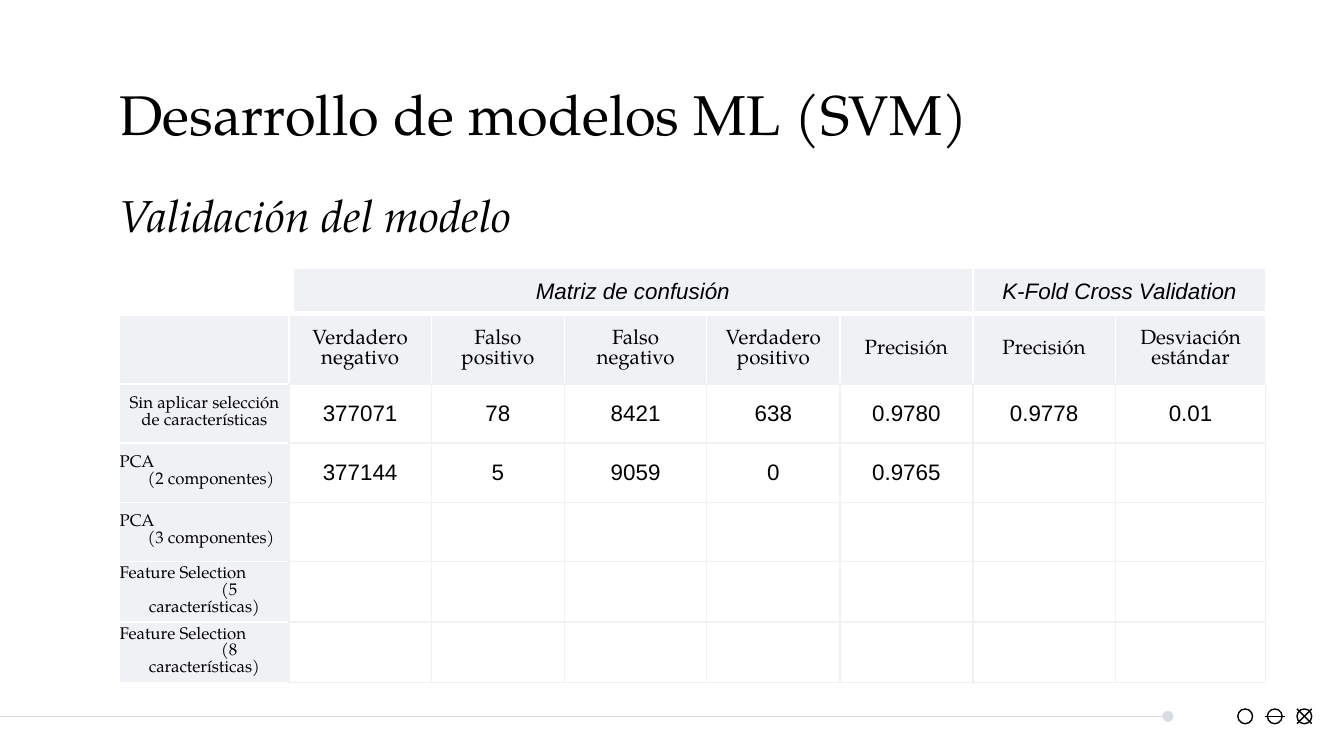
from pptx import Presentation
from pptx import util as u
from pptx.dml.color import RGBColor
from pptx.enum import shapes, text
from pptx.oxml.ns import qn
from lxml import etree

Inches = u.Inches
COLORS = {"ink": "000000", "panel": "F0F1F5", "paper": "FFFFFF", "rule": "D8DCE5"}
SERIF, SANS = "TeX Gyre Pagella", "Arial"
CENTER = text.PP_ALIGN.CENTER
MIDDLE = text.MSO_ANCHOR.MIDDLE

COLUMNS = [1.26, 1.06, 0.99, 1.06, 0.99, 0.99, 1.06, 1.12]
HEADER_HEIGHT, ROW_HEIGHT = 0.47, 0.44
HEADERS = ["", "Verdadero negativo", "Falso positivo", "Falso negativo",
           "Verdadero positivo", "Precisión", "Precisión", "Desviación estándar"]
# Each label line: text, centred or not, left indent
ROWS = [
    ([("Sin aplicar selección de características", True, 0)],
     ["377071", "78", "8421", "638", "0.9780", "0.9778", "0.01"]),
    ([("PCA", False, 0), ("(2 componentes)", True, 0.1)],
     ["377144", "5", "9059", "0", "0.9765"]),
    ([("PCA", False, 0), ("(3 componentes)", True, 0.1)], []),
] + [
    ([("Feature Selection", False, 0), (f"({count}", True, 0.37),
      ("características)", True, 0)], [])
    for count in (5, 8)
]


def color(name):
    return RGBColor.from_string(COLORS[name])


def write(paragraph, words, size, font=SERIF, italic=False, align=None):
    paragraph.alignment = align
    run = paragraph.add_run()
    run.text = words
    formats = {"size": u.Pt(size), "name": font, "italic": italic}
    for name, value in formats.items():
        setattr(run.font, name, value)
    run.font.color.rgb = color("ink")


def set_margins(target, horizontal, vertical):
    for side, value in {"left": horizontal, "right": horizontal,
                        "top": vertical, "bottom": vertical}.items():
        setattr(target, f"margin_{side}", Inches(value))


def add_line(slide, start, end, line_color="ink"):
    line = slide.shapes.add_connector(
        shapes.MSO_CONNECTOR.STRAIGHT, *map(Inches, (*start, *end)))
    line.line.color.rgb = color(line_color)
    line.line.width = u.Pt(0.75)
    etree.SubElement(line._element.spPr, qn("a:effectLst"))
    return line


def add_heading(slide, box, words, size, italic=False, anchor=text.MSO_ANCHOR.TOP):
    frame = slide.shapes.add_textbox(*map(Inches, box)).text_frame
    frame.word_wrap = True
    frame.vertical_anchor = anchor
    set_margins(frame, 0.1, 0.1)
    write(frame.paragraphs[0], words, size, italic=italic)


def add_group_header(slide, box, words):
    shape = slide.shapes.add_shape(shapes.MSO_SHAPE.RECTANGLE, *map(Inches, box))
    shape.shadow.inherit = False
    shape.fill.solid()
    shape.fill.fore_color.rgb = color("panel")
    shape.line.color.rgb = color("paper")
    shape.line.width = u.Pt(0.75)
    frame = shape.text_frame
    frame.word_wrap = True
    frame.vertical_anchor = MIDDLE
    set_margins(frame, 0.1, 0.1)
    write(frame.paragraphs[0], words, 12, SANS, True, CENTER)


def style_cell(cell, fill, borders, margins):
    """Borders are colour names in the order left, right, top, bottom."""
    cell.vertical_anchor = MIDDLE
    set_margins(cell, *margins)
    properties = cell._tc.get_or_add_tcPr()
    for side, name in zip("LRTB", borders):
        line = etree.SubElement(properties, qn(f"a:ln{side}"), w=str(u.Pt(0.75)))
        solid = etree.SubElement(line, qn("a:solidFill"))
        etree.SubElement(solid, qn("a:srgbClr"), val=COLORS[name])
    cell.fill.solid()
    cell.fill.fore_color.rgb = color(fill)


def fill_cell(cell, words, size, font):
    """An empty cell keeps the text size, so that its row does not grow."""
    paragraph = cell.text_frame.paragraphs[0]
    if words:
        write(paragraph, words, size, font, align=CENTER)
    else:
        etree.SubElement(paragraph._p, qn("a:endParaRPr"), sz=str(size * 100))


def fill_label(cell, lines):
    frame = cell.text_frame
    for index, (words, centred, indent) in enumerate(lines):
        paragraph = frame.add_paragraph() if index else frame.paragraphs[0]
        if indent:
            paragraph._p.get_or_add_pPr().set("marL", str(Inches(indent)))
        write(paragraph, words, 9, align=CENTER if centred else text.PP_ALIGN.LEFT)


def add_results_table(slide, left, top):
    height = HEADER_HEIGHT + ROW_HEIGHT * len(ROWS)
    table = slide.shapes.add_table(
        len(ROWS) + 1, len(COLUMNS),
        *map(Inches, (left, top, sum(COLUMNS), height))).table
    table.first_row = table.horz_banding = False
    for column, width in zip(table.columns, COLUMNS):
        column.width = Inches(width)
    for index, row in enumerate(table.rows):
        row.height = Inches(ROW_HEIGHT if index else HEADER_HEIGHT)

    for column, words in enumerate(HEADERS):
        cell = table.cell(0, column)
        bottom = "panel" if words else "paper"
        style_cell(cell, "panel", ["paper"] * 3 + [bottom], (0.1, 0.07))
        fill_cell(cell, words, 11, SERIF)

    for row, (label, values) in enumerate(ROWS, 1):
        cell = table.cell(row, 0)
        style_cell(cell, "panel", ["paper", "panel", "paper", "paper"], (0, 0))
        fill_label(cell, label)
        for column in range(1, len(COLUMNS)):
            cell = table.cell(row, column)
            style_cell(cell, "paper", ["panel"] * 4, (0, 0))
            words = values[column - 1] if column <= len(values) else ""
            fill_cell(cell, words, 12, SANS)


def add_footer(slide, middle):
    rule = add_line(slide, (0, middle), (8.69, middle), "rule")
    etree.SubElement(rule.line._get_or_add_ln(), qn("a:tailEnd"), type="oval")
    size, gap, first = 0.11, 0.22, 9.21
    top, bottom = middle - size / 2, middle + size / 2
    lefts = [first + gap * index for index in range(3)]
    for left in lefts:
        circle = slide.shapes.add_shape(
            shapes.MSO_SHAPE.OVAL, *map(Inches, (left, top, size, size)))
        circle.shadow.inherit = False
        circle.fill.background()
        circle.line.color.rgb = color("ink")
        circle.line.width = u.Pt(0.75)
    add_line(slide, (lefts[1] - 0.02, middle), (lefts[1] + size + 0.02, middle))
    add_line(slide, (lefts[2], bottom), (lefts[2] + size, top))
    add_line(slide, (lefts[2] + size, bottom), (lefts[2], top))


def main():
    presentation = Presentation()
    presentation.slide_width = Inches(10)
    presentation.slide_height = presentation.slide_width * 9 // 16
    slide = presentation.slides.add_slide(presentation.slide_layouts[6])
    add_footer(slide, 5.33)
    add_heading(slide, (0.79, 0.49, 8.43, 0.63), "Desarrollo de modelos ML (SVM)", 30)
    add_heading(slide, (0.79, 1.29, 5.64, 0.61), "Validación del modelo", 24,
                True, text.MSO_ANCHOR.BOTTOM)
    add_results_table(slide, 0.89, 2.35)
    add_group_header(slide, (2.18, 2, 5.06, 0.32), "Matriz de confusión")
    add_group_header(slide, (7.24, 2, 2.18, 0.32), "K-Fold Cross Validation")
    presentation.save("out.pptx")


if __name__ == "__main__":
    main()
